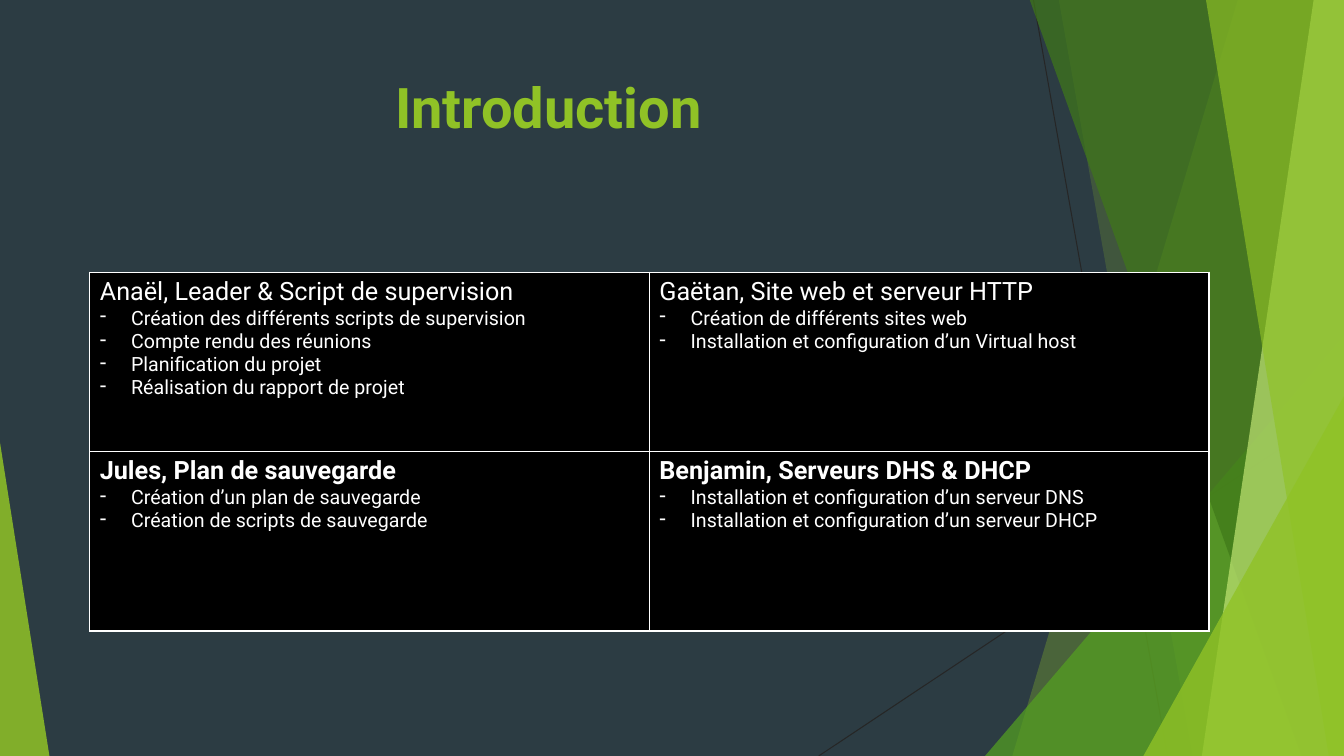
from dataclasses import dataclass

from lxml.etree import SubElement
from pptx import Presentation
from pptx.dml.color import RGBColor
from pptx.enum.shapes import MSO_CONNECTOR, MSO_SHAPE
from pptx.enum.text import MSO_ANCHOR, PP_ALIGN
from pptx.oxml.ns import qn
from pptx.util import Inches, Pt

FONT = "Roboto"
SLATE = RGBColor(0x2C, 0x3C, 0x43)
INK = RGBColor(0x26, 0x26, 0x26)
LIME = RGBColor(0x90, 0xC2, 0x26)
GREEN = RGBColor(0x54, 0xA0, 0x21)
FOREST = RGBColor(0x3F, 0x78, 0x19)
PALE = RGBColor(0xC0, 0xE4, 0x74)
BLACK = RGBColor(0, 0, 0)
WHITE = RGBColor(0xFF, 0xFF, 0xFF)

WIDTH, HEIGHT = 13.33, 7.5


@dataclass
class Band:
    """Facet reaching the right edge, with a slanted left side."""
    top_x: float
    bottom_x: float
    color: RGBColor
    opacity: int


@dataclass
class Triangle:
    """Right triangle standing on the bottom edge."""
    left: float
    top: float
    width: float
    apex: float
    color: RGBColor
    opacity: int


@dataclass
class Member:
    heading: str
    tasks: list[str]
    bold: bool = False


RAYS = [(10.25, 0, 11.58, HEIGHT), (WIDTH, 4.03, 8.12, HEIGHT)]

FACETS = [
    Band(12.28, 10.04, LIME, 30),
    Band(10.5, 11.83, LIME, 20),
    Triangle(9.77, 3.33, 3.56, 1, GREEN, 72),
    Band(10.21, 12.91, FOREST, 70),
    Band(13.03, 11.92, PALE, 70),
    Band(11.96, 13.18, LIME, 65),
    Triangle(11.34, 3.93, 1.99, 1, LIME, 80),
    Triangle(0, 4.39, 0.49, 0, LIME, 85),
]

TEAM = [
    [
        Member("Anaël, Leader & Script de supervision", [
            "Création des différents scripts de supervision",
            "Compte rendu des réunions",
            "Planification du projet",
            "Réalisation du rapport de projet",
        ]),
        Member("Gaëtan, Site web et serveur HTTP", [
            "Création de différents sites web",
            "Installation et configuration d’un Virtual host",
        ]),
    ],
    [
        Member("Jules, Plan de sauvegarde", [
            "Création d’un plan de sauvegarde",
            "Création de scripts de sauvegarde",
        ], bold=True),
        Member("Benjamin, Serveurs DHS & DHCP", [
            "Installation et configuration d’un serveur DNS",
            "Installation et configuration d’un serveur DHCP",
        ], bold=True),
    ],
]


def add_ray(slide, x1: float, y1: float, x2: float, y2: float) -> None:
    ray = slide.shapes.add_connector(
        MSO_CONNECTOR.STRAIGHT, Inches(x1), Inches(y1), Inches(x2), Inches(y2))
    ray.line.color.rgb = INK
    ray.line.width = Pt(0.75)
    SubElement(ray._element.spPr, qn("a:effectLst"))


def add_facet(slide, facet: Band | Triangle) -> None:
    if isinstance(facet, Band):
        corners = [(WIDTH, -0.01), (WIDTH, HEIGHT), (facet.bottom_x, HEIGHT)]
        builder = slide.shapes.build_freeform(Inches(facet.top_x), Inches(-0.01))
        builder.add_line_segments([(Inches(x), Inches(y)) for x, y in corners])
        sp = builder.convert_to_shape()
    else:
        sp = slide.shapes.add_shape(
            MSO_SHAPE.ISOSCELES_TRIANGLE, Inches(facet.left), Inches(facet.top),
            Inches(facet.width), Inches(HEIGHT - facet.top))
        sp.adjustments[0] = facet.apex
    sp.shadow.inherit = False
    sp.line.fill.background()
    sp.fill.solid()
    sp.fill.fore_color.rgb = facet.color
    color = sp._element.spPr.find(qn("a:solidFill")).find(qn("a:srgbClr"))
    SubElement(color, qn("a:alpha"), val=str(facet.opacity * 1000))


def write(p, text: str, size: int, color: RGBColor, bold: bool = False) -> None:
    p.text = text
    font = p.runs[0].font
    font.name, font.size, font.bold = FONT, Pt(size), bold
    font.color.rgb = color


def add_dash(p) -> None:
    pPr = p._p.get_or_add_pPr()
    indent = Inches(0.31)
    pPr.set("marL", str(indent))
    pPr.set("indent", str(-indent))
    SubElement(pPr, qn("a:buChar"), char="-")


def add_borders(cell) -> None:
    tcPr = cell._tc.get_or_add_tcPr()
    for side in ("lnL", "lnR", "lnT", "lnB"):
        ln = SubElement(tcPr, qn(f"a:{side}"), w=str(Pt(1)))
        fill = SubElement(ln, qn("a:solidFill"))
        SubElement(fill, qn("a:srgbClr"), val=str(WHITE))


def fill_cell(cell, member: Member) -> None:
    add_borders(cell)
    cell.fill.solid()
    cell.fill.fore_color.rgb = BLACK
    tf = cell.text_frame
    write(tf.paragraphs[0], member.heading, 18, WHITE, member.bold)
    for task in member.tasks:
        p = tf.add_paragraph()
        write(p, task, 14, WHITE)
        add_dash(p)


def add_title(slide, text: str) -> None:
    box = slide.shapes.add_textbox(
        Inches(0.74), Inches(0.67), Inches(9.4), Inches(1.44))
    tf = box.text_frame
    tf.word_wrap = True
    tf.vertical_anchor = MSO_ANCHOR.TOP
    p = tf.paragraphs[0]
    p.alignment = PP_ALIGN.CENTER
    write(p, text, 40, LIME, bold=True)


def add_team_table(slide, team: list[list[Member]]) -> None:
    table = slide.shapes.add_table(
        len(team), len(team[0]), Inches(0.89), Inches(2.7),
        Inches(11.1), Inches(3.56)).table
    table.first_row = table.horz_banding = False
    for i, row in enumerate(team):
        for j, member in enumerate(row):
            fill_cell(table.cell(i, j), member)


def main() -> None:
    prs = Presentation()
    prs.slide_width, prs.slide_height = Inches(WIDTH), Inches(HEIGHT)
    slide = prs.slides.add_slide(prs.slide_layouts[6])
    slide.background.fill.solid()
    slide.background.fill.fore_color.rgb = SLATE

    # Faceted backdrop
    for ray in RAYS:
        add_ray(slide, *ray)
    for facet in FACETS:
        add_facet(slide, facet)

    # Content
    add_title(slide, "Introduction")
    add_team_table(slide, TEAM)
    prs.save("out.pptx")


if __name__ == "__main__":
    main()
